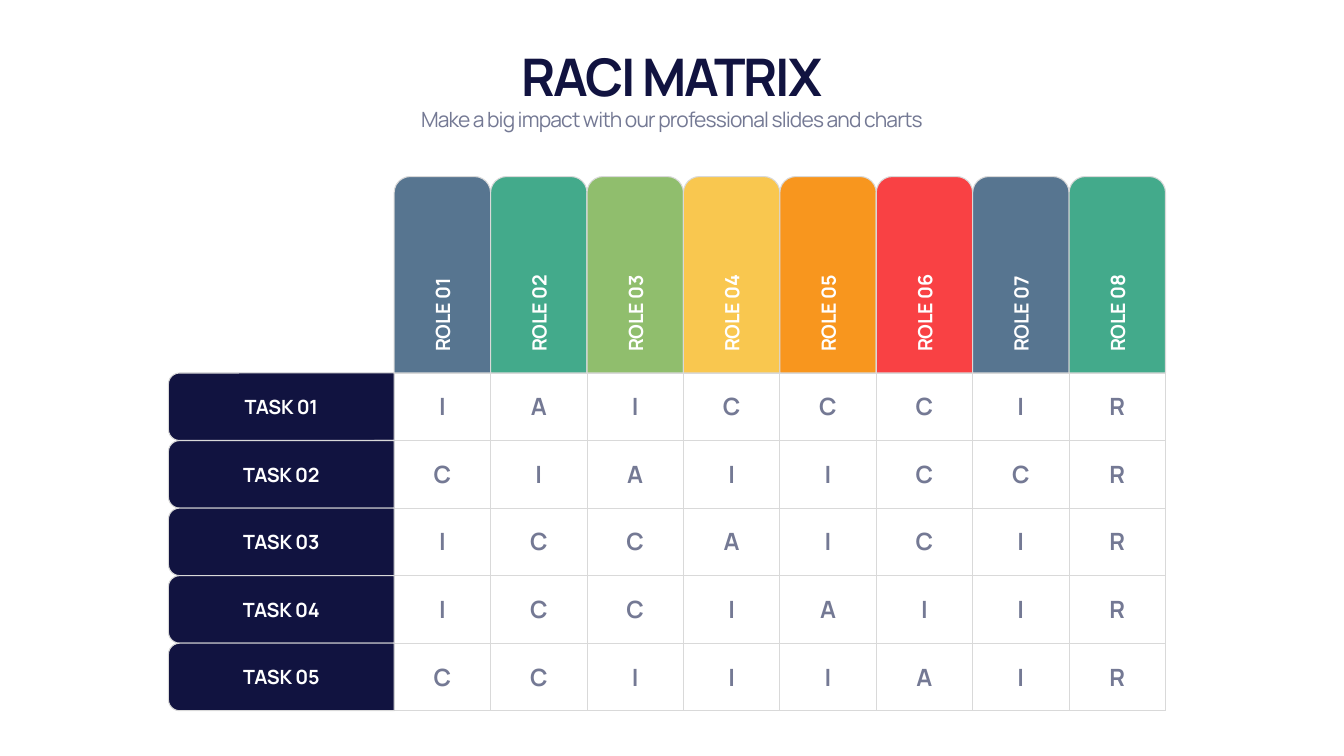
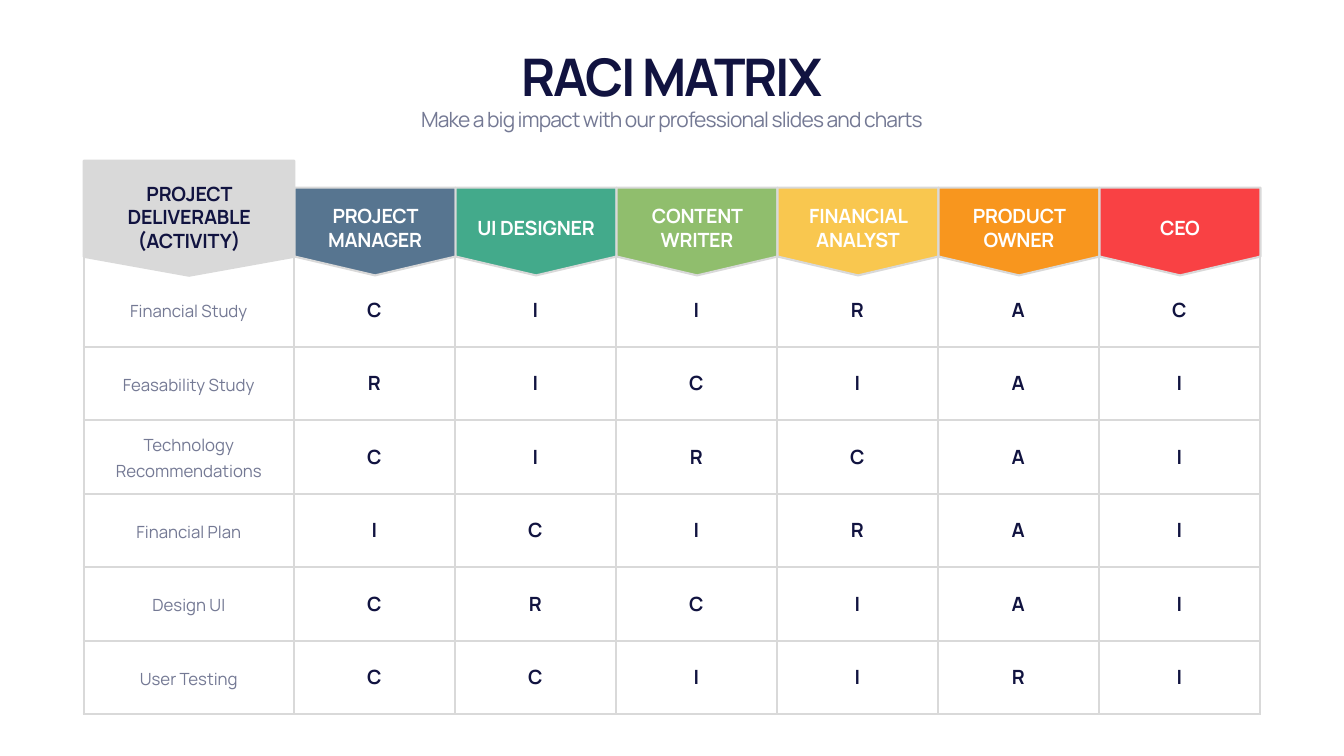
import pptx
import pptx.dml.color
import pptx.enum.shapes
import pptx.enum.text
import pptx.util
import lxml.etree

Pt = pptx.util.Pt
rgb = pptx.dml.color.RGBColor.from_string
SHAPE = pptx.enum.shapes.MSO_SHAPE
ALIGN = pptx.enum.text.PP_ALIGN
ANCHOR = pptx.enum.text.MSO_ANCHOR
A = "{http://schemas.openxmlformats.org/drawingml/2006/main}"

FONT = "Manrope"
NAVY, SLATE, GREY, WHITE = "111340", "747994", "D9D9D9", "FFFFFF"
ROLE_COLORS = ["577590", "43AA8B", "90BE6D", "F9C74F", "F8961E", "F94144"]
MID_X = 959.5


def write(tf, text, size=28, color=WHITE, bold=True, spacing=None,
          align=ALIGN.CENTER, leading=None):
    p = tf.paragraphs[0]
    p.alignment = align
    if leading:
        p.line_spacing = Pt(leading)
    r = p.add_run()
    r.text = text
    r.font.name, r.font.size, r.font.bold = FONT, Pt(size), bold
    r.font.color.rgb = rgb(color)
    if spacing:
        r.font._element.set("spc", str(round(spacing * 100)))


def add_label(s, text, cx, cy, w, h, rotation=0, anchor=ANCHOR.MIDDLE, **style):
    """Add a text box centred on (cx, cy)."""
    sp = s.shapes.add_textbox(Pt(cx - w / 2), Pt(cy - h / 2), Pt(w), Pt(h))
    sp.rotation = rotation
    tf = sp.text_frame
    tf.word_wrap = True
    tf.auto_size = pptx.enum.text.MSO_AUTO_SIZE.SHAPE_TO_FIT_TEXT
    tf.vertical_anchor = anchor
    write(tf, text, **{"spacing": -0.3, **style})


prs = pptx.Presentation()
prs.slide_width, prs.slide_height = Pt(1919.52), Pt(1080)

# Roles stand above the columns, tasks lie to the left of the rows
LEFT, TOP, COL, ROW = 563, 532.8, 137.7, 96.5
ROLE_H, TASK_W = 280.6, 322.5
ROLE_COUNT, TASK_COUNT = 8, 5
role_tabs, role_labels, task_tabs, task_labels = [], [], [], []
for i in range(ROLE_COUNT):
    cx = LEFT + COL * (i + 0.5)
    color = ROLE_COLORS[i % len(ROLE_COLORS)]
    role_tabs.append((cx, TOP - ROLE_H / 2, COL, ROLE_H, 0, color, None))
    role_labels.append((f"ROLE {i + 1:02}", cx, 392.8, 234, 41,
                        {"rotation": 270, "align": ALIGN.LEFT}))
for i in range(TASK_COUNT):
    cx, cy = LEFT - TASK_W / 2, TOP + ROW * (i + 0.5)
    task_tabs.append((cx, cy, ROW, TASK_W, 270, NAVY, None))
    task_labels.append((f"TASK {i + 1:02}", cx, cy, 234, 41, {}))

# Pentagons point down from the head of each column
GRID_LEFT, FIRST_COL, NEXT_COL = 119.5, 300.2, 229.93
JOBS = ["PROJECT MANAGER", "UI DESIGNER", "CONTENT WRITER",
        "FINANCIAL ANALYST", "PRODUCT OWNER", "CEO"]
ONE_LINE_JOBS = ("UI DESIGNER", "CEO")
job_plates = [(270, 311.8, 164.2, 301, 90, GREY, 0.165)]
job_labels = [("PROJECT DELIVERABLE (ACTIVITY)", 270, 310, 268.6, 108.7, {"color": NAVY})]
for i, (job, color) in enumerate(zip(JOBS, ROLE_COLORS)):
    cx = GRID_LEFT + FIRST_COL + NEXT_COL * (i + 0.5) + 1
    job_plates.append((cx, 330.8, 125.3, NEXT_COL, 90, color, 0.215))
    job_labels.append((job, cx, 325.4, 208.8, 41 if job in ONE_LINE_JOBS else 74.9, {}))

letter_style = {"size": 34, "color": SLATE}
job_letter_style = {"size": 28, "color": NAVY}
activity_style = {"size": 24, "color": SLATE, "bold": False, "leading": 36}
slides = [
    {"left": LEFT, "top": TOP, "widths": [COL] * ROLE_COUNT,
     "heights": [ROW] * TASK_COUNT, "line": 1.5, "first_inset": 3.6,
     "rows": [list(row) for row in
              ("IAICCCIR", "CIAIICCR", "ICCAICIR", "ICCIAIIR", "CCIIIAIR")],
     "styles": [letter_style] * ROLE_COUNT,
     "kind": SHAPE.ROUND_2_SAME_RECTANGLE,
     "tabs": role_tabs + task_tabs, "labels": role_labels + task_labels},
    {"left": GRID_LEFT, "top": 364.3, "widths": [FIRST_COL] + [NEXT_COL] * len(JOBS),
     "heights": [131] + [105] * 5, "line": 3, "first_inset": 28.8,
     "rows": [[activity, *letters] for activity, letters in (
         ("Financial Study", "CIIRAC"),
         ("Feasability Study", "RICIAI"),
         ("Technology Recommendations", "CIRCAI"),
         ("Financial Plan", "ICIRAI"),
         ("Design UI", "CRCIAI"),
         ("User Testing", "CCIIRI"))],
     "styles": [activity_style] + [job_letter_style] * len(JOBS),
     "kind": SHAPE.PENTAGON, "tabs": job_plates, "labels": job_labels},
]

for page in slides:
    s = prs.slides.add_slide(prs.slide_layouts[6])
    add_label(s, "RACI MATRIX", MID_X, 107.6, 1679.8, 97.2, anchor=ANCHOR.BOTTOM,
              size=74, color=NAVY, spacing=-2.9)
    add_label(s, "Make a big impact with our professional slides and charts",
              MID_X, 171, 1679.8, 44, anchor=ANCHOR.TOP,
              size=30, color=SLATE, bold=False, spacing=-1.2)

    widths, heights = page["widths"], page["heights"]
    table = s.shapes.add_table(len(heights), len(widths), Pt(page["left"]), Pt(page["top"]),
                               Pt(sum(widths)), Pt(sum(heights))).table
    table.first_row = table.horz_banding = False
    for column, width in zip(table.columns, widths):
        column.width = Pt(width)
    for y, (height, row) in enumerate(zip(heights, page["rows"])):
        table.rows[y].height = Pt(height)
        for x, (text, style) in enumerate(zip(row, page["styles"])):
            cell = table.cell(y, x)
            cell.vertical_anchor = ANCHOR.MIDDLE
            if y == 0:
                cell.margin_top = Pt(page["first_inset"])
            write(cell.text_frame, text, **style)
            tc_pr = cell._tc.get_or_add_tcPr()
            for side in ("lnL", "lnR", "lnT", "lnB"):
                ln = lxml.etree.SubElement(tc_pr, A + side, w=str(Pt(page["line"])))
                fill = lxml.etree.SubElement(ln, A + "solidFill")
                lxml.etree.SubElement(fill, A + "srgbClr", val=GREY)
            cell.fill.background()

    for cx, cy, w, h, rotation, color, adjustment in page["tabs"]:
        sp = s.shapes.add_shape(page["kind"], Pt(cx - w / 2), Pt(cy - h / 2), Pt(w), Pt(h))
        sp.rotation = rotation
        sp.shadow.inherit = False
        if adjustment:
            sp.adjustments[0] = adjustment
        sp.fill.solid()
        sp.fill.fore_color.rgb = rgb(color)
        sp.line.color.rgb = rgb(GREY)
        sp.line.width = Pt(page["line"])

    for text, cx, cy, w, h, style in page["labels"]:
        add_label(s, text, cx, cy, w, h, **style)

prs.save("out.pptx")
